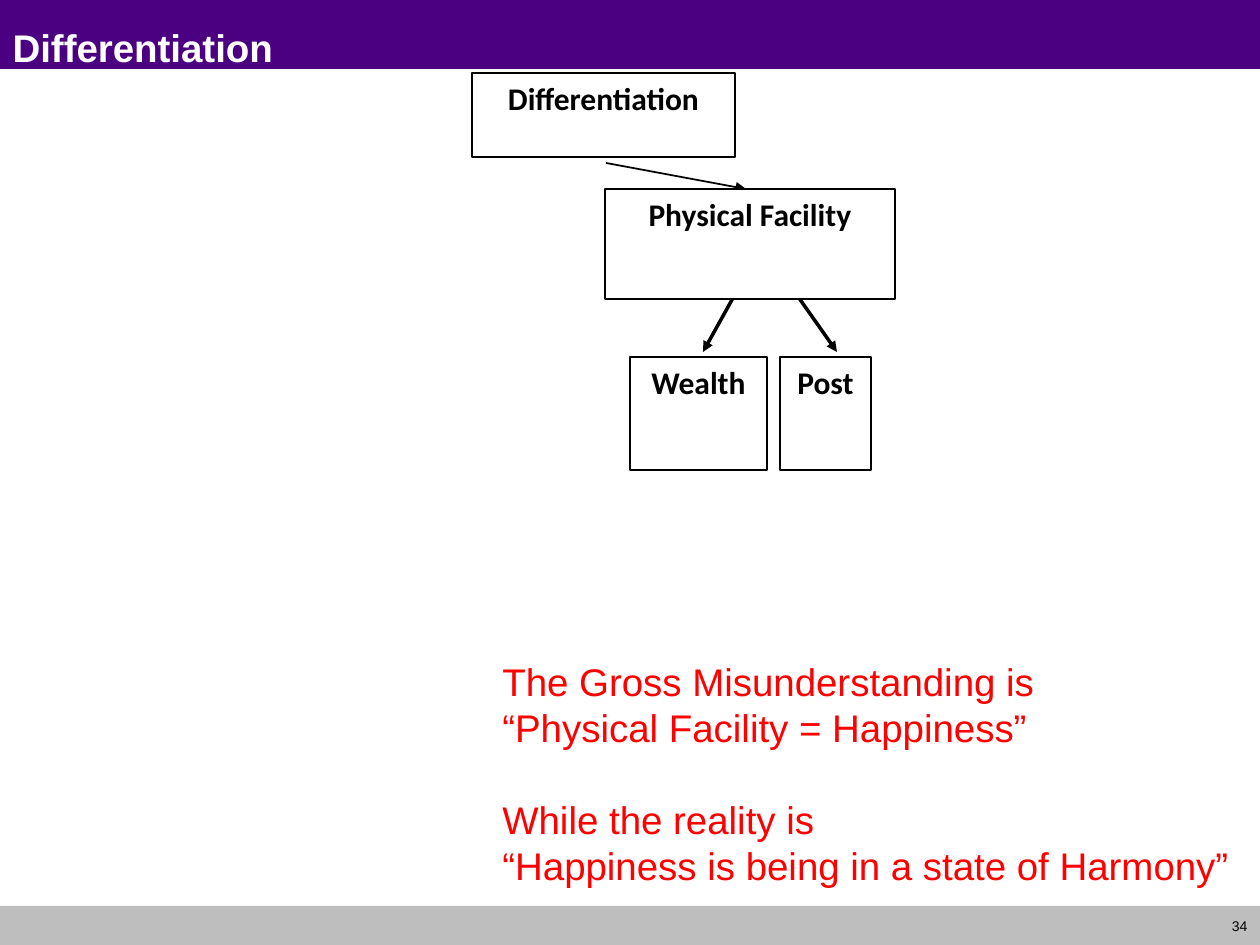
"""Build the Differentiation slide with its facility diagram and closing statement."""
import pptx
import pptx.dml.color
import pptx.enum.shapes
import pptx.enum.text
import pptx.util
from lxml import etree
from pptx.oxml.ns import qn

INDIGO = pptx.dml.color.RGBColor(0x4B, 0x00, 0x82)
GREY = pptx.dml.color.RGBColor(0xBE, 0xBE, 0xBE)
RED = pptx.dml.color.RGBColor(0xFF, 0x00, 0x00)
BLACK = pptx.dml.color.RGBColor(0x00, 0x00, 0x00)
WHITE = pptx.dml.color.RGBColor(0xFF, 0xFF, 0xFF)
PX = 914400 / 126
RECTANGLE = pptx.enum.shapes.MSO_SHAPE.RECTANGLE
STRAIGHT = pptx.enum.shapes.MSO_CONNECTOR.STRAIGHT
ALIGN = pptx.enum.text.PP_ALIGN
ANCHOR = pptx.enum.text.MSO_ANCHOR


def px(*lengths):
    return [round(length * PX) for length in lengths]


def write(frame, text, size=18, font="Arial", color=BLACK, bold=False,
          align=ALIGN.LEFT, anchor=ANCHOR.TOP, wrap=True):
    frame.text = text
    frame.word_wrap = wrap
    frame.auto_size = pptx.enum.text.MSO_AUTO_SIZE.NONE
    frame.vertical_anchor = anchor
    for paragraph in frame.paragraphs:
        paragraph.alignment = align
        paragraph.font.size = pptx.util.Pt(size)
        paragraph.font.name = font
        paragraph.font.color.rgb = color
        paragraph.font.bold = bold


presentation = pptx.Presentation()
presentation.slide_width, presentation.slide_height = px(1260, 945)
slide = presentation.slides.add_slide(presentation.slide_layouts[5])

heading = slide.shapes.title
heading.left, heading.top, heading.width, heading.height = px(0, 10, 1260, 53)
write(heading.text_frame, "Differentiation", size=22, color=WHITE, bold=True)
heading.text_frame.margin_top = px(14)[0]

for top, height, color in [(0, 69, INDIGO), (906, 39, GREY)]:
    band = slide.shapes.add_shape(RECTANGLE, *px(0, top, 1260, height))
    band.shadow.inherit = False
    band.fill.solid()
    band.fill.fore_color.rgb = color
    band.line.fill.background()
    heading._element.addprevious(band._element)

page_number = slide.shapes.add_textbox(*px(1200, 906, 60, 40))
write(page_number.text_frame, "34", size=8, align=ALIGN.RIGHT, anchor=ANCHOR.MIDDLE)

for start, end, weight, head in [
    ((733, 298), (703, 352), 2, "med"),
    ((799, 298), (837, 352), 2, "med"),
    ((606, 163), (746, 189), 1, "med"),
]:
    branch = slide.shapes.add_connector(STRAIGHT, *px(*start, *end))
    branch.line.color.rgb = BLACK
    branch.line.width = pptx.util.Pt(weight)
    outline = branch.line._get_or_add_ln()
    etree.SubElement(outline, qn("a:tailEnd"), type="triangle", w=head, len=head)
    etree.SubElement(branch._element.spPr, qn("a:effectLst"))

for label, *place in [
    ("Differentiation", 472, 73, 263, 84),
    ("Physical Facility", 605, 189, 290, 110),
    ("Post", 780, 357, 91, 113),
    ("Wealth", 630, 357, 137, 113),
]:
    concept = slide.shapes.add_shape(RECTANGLE, *px(*place))
    concept.shadow.inherit = False
    concept.fill.solid()
    concept.fill.fore_color.rgb = WHITE
    concept.line.color.rgb = BLACK
    concept.line.width = pptx.util.Pt(0.75)
    write(concept.text_frame, label, font="Calibri", bold=True, align=ALIGN.CENTER)

statement = slide.shapes.add_textbox(*px(490, 652, 759, 246))
write(statement.text_frame, "\n".join([
    "The Gross Misunderstanding is",
    "“Physical Facility = Happiness”",
    "While the reality is",
    "“Happiness is being in a state of Harmony”",
]), size=22, color=RED, wrap=False)
statement.text_frame.paragraphs[2].space_before = pptx.util.Pt(26)

presentation.save("out.pptx")
